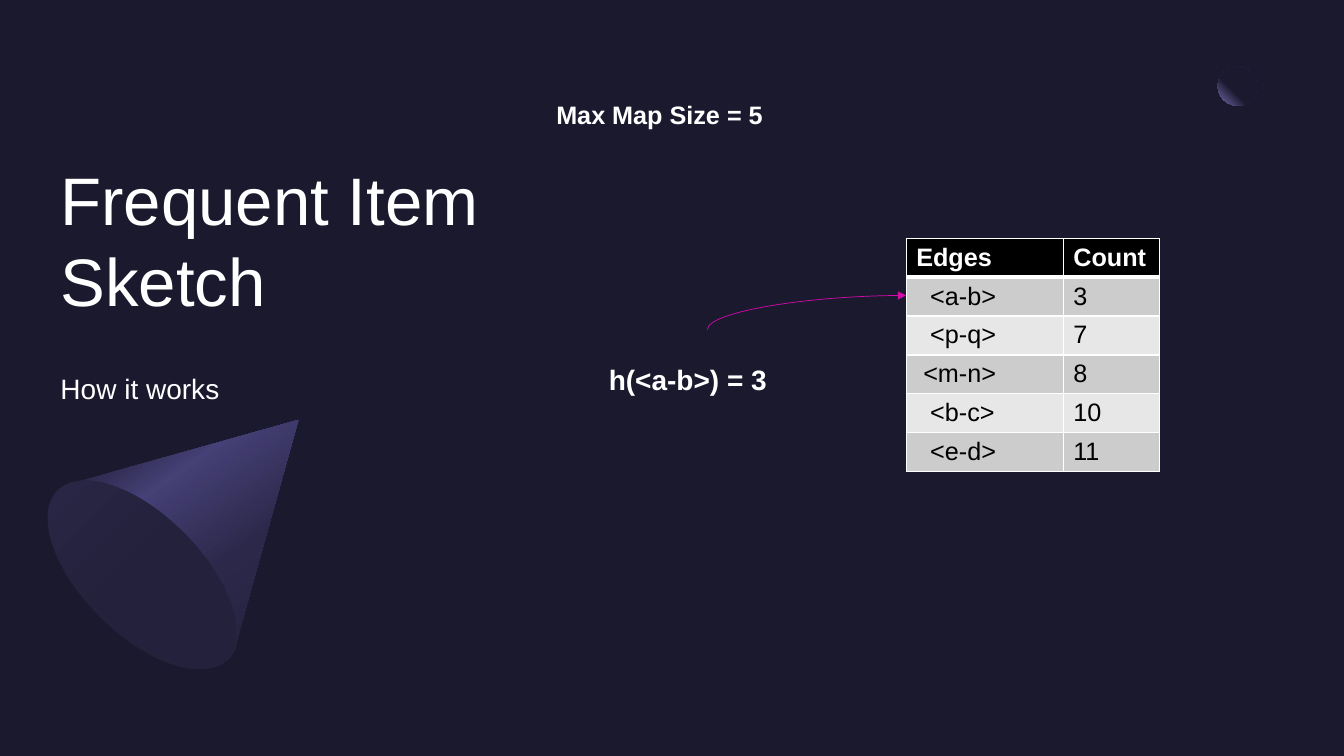
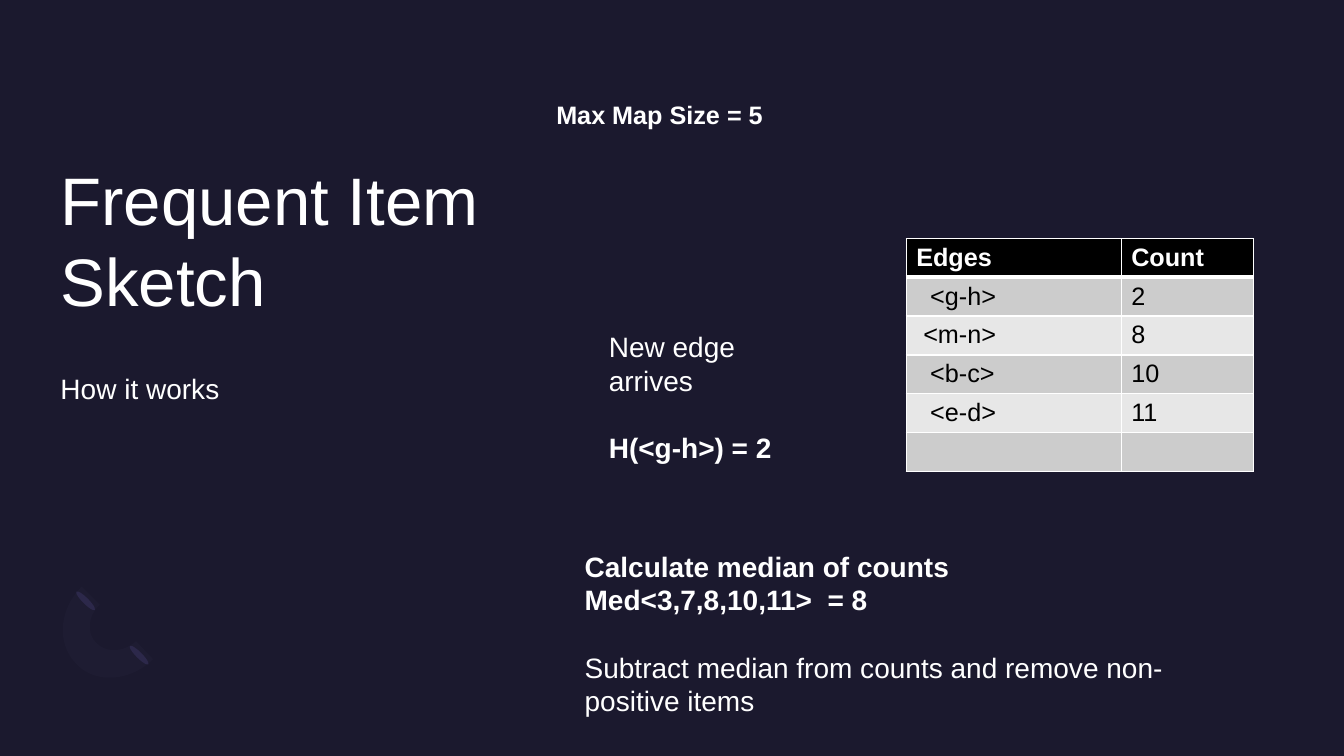
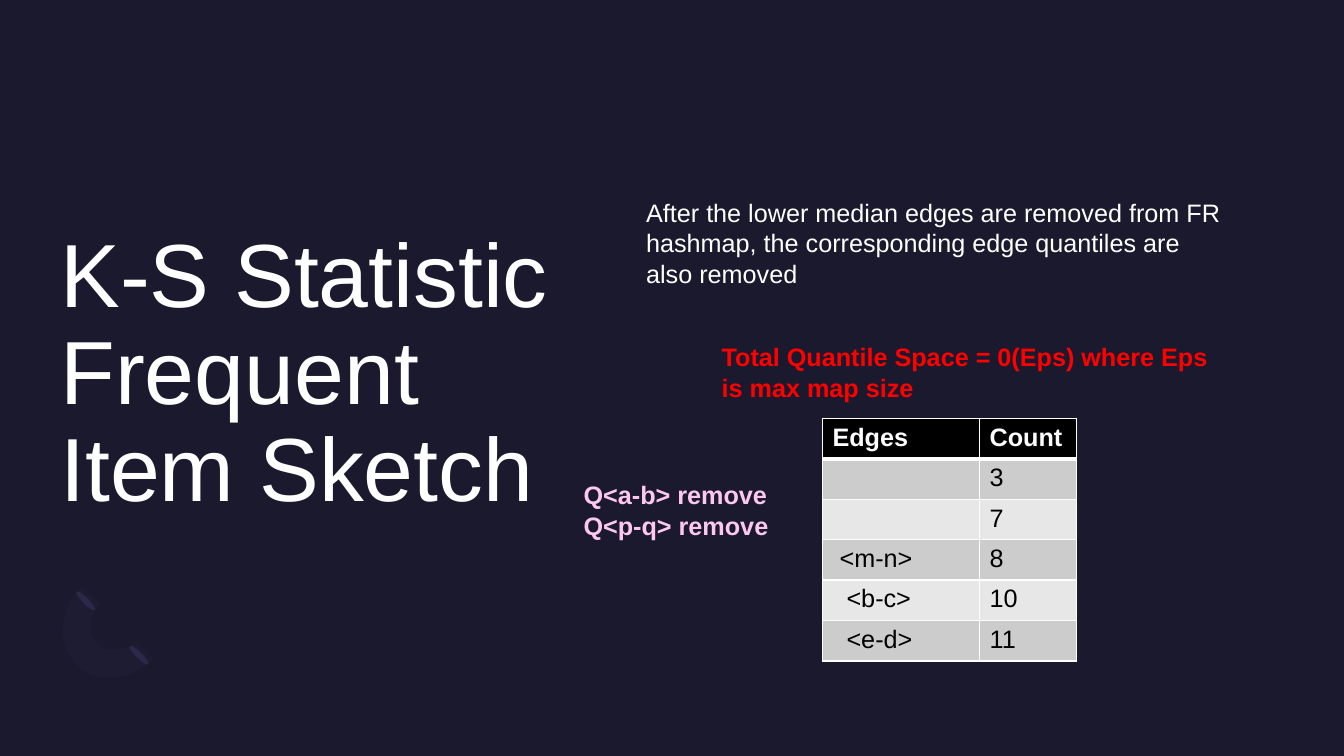
"""Three dark slides on how the frequent item sketch works."""
from math import sqrt

from lxml import etree
from pptx import Presentation
from pptx.dml.color import RGBColor
from pptx.enum import shapes, text
from pptx.oxml.ns import qn
from pptx.util import Pt

NIGHT = RGBColor(0x1B, 0x19, 0x2E)
SHADE = RGBColor(0x1E, 0x1C, 0x32)
DUSK = RGBColor(0x23, 0x21, 0x3C)
PLUM = RGBColor(0x2C, 0x28, 0x4A)
VIOLET = RGBColor(0x45, 0x40, 0x75)
LILAC = RGBColor(0x77, 0x71, 0xB2)
WHITE = RGBColor(0xFF, 0xFF, 0xFF)
BLACK = RGBColor(0x00, 0x00, 0x00)
SILVER = RGBColor(0xCC, 0xCC, 0xCC)
PALE = RGBColor(0xE7, 0xE7, 0xE7)
PINK = RGBColor(0xFC, 0xC8, 0xF1)
ROSE = RGBColor(0xD4, 0x0A, 0xA8)
RED = RGBColor(0xFF, 0x00, 0x00)
FONT = "Arial"

CONE = [213.1 + 300.2j, (167.8 + 462.2j,), (167.8 + 463.7j,),
        (166.3 + 466.6j, 164.9 + 468.7j, 162.7 + 470.9j),
        (146.2 + 487.4j, 105.8 + 473.8j, 72.7 + 440.6j),
        (39.6 + 407.5j, 25.9 + 367.2j, 42.5 + 350.6j),
        (44.6 + 348.5j, 46.8 + 347j, 49.7 + 345.6j), (51.1 + 345.6j,)]
ARC = [54.7 + 474.5j, (40.3 + 460.1j, 41.8 + 435.6j, 58.3 + 419j),
       (71.3 + 432j,), (62.6 + 439.9j, 61.9 + 453j, 69.1 + 459.4j),
       (76.3 + 466.6j, 88.6 + 465.8j, 97.2 + 457.9j), (109.4 + 470.9j,),
       (93.6 + 486.7j, 68.4 + 488.9j, 54.7 + 474.5j)]


def trace(slide, outline, mid=0, turn=1):
    """Draw an outline of lines and curves, each point turned about mid."""
    last, dots = outline[0], [outline[0]]
    for step in outline[1:]:
        if len(step) == 3:
            a, b, c = step
            for t in (n / 16 for n in range(1, 16)):
                s = 1 - t
                dots.append(s**3 * last + 3 * s * s * t * a
                            + 3 * s * t * t * b + t**3 * c)
        last = step[-1]
        dots.append(last)
    dots = [(d - mid) * turn + mid for d in dots]
    pairs = [(Pt(d.real), Pt(d.imag)) for d in dots]
    pen = slide.shapes.build_freeform(*pairs[0], scale=1.0)
    pen.add_line_segments(pairs[1:], close=True)
    return pen.convert_to_shape()


def write(frame, lines, size, color):
    """Fill a frame with (text, bold, space before) lines."""
    frame.word_wrap = True
    frame.auto_size = text.MSO_AUTO_SIZE.NONE
    frame.margin_left = frame.margin_right = Pt(0)
    frame.margin_top = frame.margin_bottom = Pt(0)
    for i, (words, bold, gap) in enumerate(lines):
        para = frame.add_paragraph() if i else frame.paragraphs[0]
        para.text = words
        para.alignment = text.PP_ALIGN.LEFT
        para.space_before = Pt(gap)
        para.font.name, para.font.size = FONT, Pt(size)
        para.font.bold, para.font.color.rgb = bold, color


SKETCH = ("Frequent Item Sketch", (43.2, 113, 428.4, 157), 48, 1)
STAT = ("K-S Statistic\vFrequent Item Sketch", (43.2, 119.5, 357.1, 297.4), 64, 0.9)
COMMON = [((43.2, 265.7, 428.4, 157), [("How it works", False, 0)], 20, WHITE),
          ((397.4, 71.3, 465.8, 22), [("Max Map Size = 5", True, 0)], 18, WHITE)]
TAIL = [("<m-n>", 8), ("<b-c>", 10), ("<e-d>", 11)]

PAGES = [
    (SKETCH,
     COMMON + [((434.9, 259.2, 141.8, 96), [("h(<a-b>) = 3", True, 0)], 20, WHITE)],
     (647.3, 170.6), (112.2, 69), (27, 27.8),
     [("<a-b>", 3), ("<p-q>", 7)] + TAIL),
    (SKETCH,
     COMMON + [((434.9, 235.4, 141.8, 120.2),
                [("New edge arrives", False, 0), ("H(<g-h>) = 2", True, 24)], 20, WHITE),
               ((417.6, 392.4, 428.4, 120.2),
                [("Calculate median of counts", True, 0),
                 ("Med<3,7,8,10,11>  = 8", True, 0),
                 ("Subtract median from counts and remove non-positive items",
                  False, 24)], 20, WHITE)],
     (647.3, 170.6), (153.6, 94.3), (27, 27.8),
     [("<g-h>", 2)] + TAIL + [("", "")]),
    (STAT,
     [((461.5, 141.1, 419, 66),
       [("After the lower median edges are removed from FR hashmap, "
         "the corresponding edge quantiles are also removed", False, 0)], 18, WHITE),
      ((515.5, 244.1, 355, 44),
       [("Total Quantile Space = 0(Eps) where Eps is max map size", True, 0)], 18, RED),
      ((416.9, 342.7, 162.7, 44),
       [("Q<a-b> remove", True, 0), ("Q<p-q> remove", True, 0)], 18, PINK)],
     (587.5, 298.8), (112.2, 69), (28.9, 28.9),
     [("", 3), ("", 7)] + TAIL),
]

deck = Presentation()
deck.slide_width, deck.slide_height = Pt(960), Pt(540)
ground = deck.slide_master.background.fill
ground.solid()
ground.fore_color.rgb = NIGHT

for page, (head, notes, spot, widths, highs, items) in enumerate(PAGES):
    slide = deck.slides.add_slide(deck.slide_layouts[5])

    if page:
        marks = [(trace(slide, ARC), SHADE)]
        for x, y in ((97.2, 458.6), (59, 419.8)):
            drop = slide.shapes.add_shape(
                shapes.MSO_SHAPE.OVAL, Pt(x), Pt(y), Pt(4.3), Pt(18.7))
            drop.rotation = 135
            marks.append((drop, PLUM))
        for mark, color in marks:
            mark.shadow.inherit = False
            mark.fill.solid()
            mark.fill.fore_color.rgb = color
            mark.line.fill.background()
    else:
        dot = slide.shapes.add_shape(
            shapes.MSO_SHAPE.OVAL, Pt(869.8), Pt(47.5), Pt(28), Pt(28))
        cone = trace(slide, CONE, 142.6 + 370.1j, (1 - 1j) / sqrt(2))
        cone.rotation = 45
        base = slide.shapes.add_shape(
            shapes.MSO_SHAPE.OVAL, Pt(59), Pt(325.4), Pt(85), Pt(170.6))
        base.rotation = 135
        for solid, stops, angle in (
                (dot, [(60, NIGHT), (100, LILAC)], None),
                (cone, [(30, PLUM), (40, VIOLET), (60, PLUM), (100, NIGHT)], 10),
                (base, [(50, DUSK), (100, PLUM)], 90)):
            solid.shadow.inherit = False
            solid.line.fill.background()
            solid.fill.gradient()
            solid.fill.gradient_angle = -(angle or 0) % 360
            grad = solid.element.spPr.find(qn("a:gradFill"))
            ramp = grad.find(qn("a:gsLst"))
            for old in list(ramp):
                ramp.remove(old)
            for place, color in stops:
                stop = etree.SubElement(ramp, qn("a:gs"), pos=str(place * 1000))
                etree.SubElement(stop, qn("a:srgbClr"), val=str(color))
            if angle is None:
                grad.remove(grad.find(qn("a:lin")))
                ring = etree.Element(qn("a:path"), {"path": "circle"})
                etree.SubElement(ring, qn("a:fillToRect"), l="100000", b="100000")
                ramp.addnext(ring)

        arrow = slide.shapes.add_connector(
            shapes.MSO_CONNECTOR.CURVE, Pt(647.3), Pt(211), Pt(505.4), Pt(235.4))
        arrow.line.color.rgb, arrow.line.width = ROSE, Pt(0.5)
        props = arrow.element.spPr
        props.find(qn("a:prstGeom")).set("prst", "curvedConnector2")
        etree.SubElement(props.find(qn("a:ln")), qn("a:headEnd"), type="triangle")
        etree.SubElement(props, qn("a:effectLst"))

    words, box, size, pitch = head
    title = slide.shapes.title
    title.left, title.top, title.width, title.height = map(Pt, box)
    write(title.text_frame, [(words, False, 0)], size, WHITE)
    title.text_frame.paragraphs[0].line_spacing = pitch
    title.text_frame.vertical_anchor = (
        text.MSO_ANCHOR.MIDDLE if head is STAT else text.MSO_ANCHOR.TOP)

    for box, lines, size, color in notes:
        note = slide.shapes.add_textbox(*map(Pt, box))
        write(note.text_frame, lines, size, color)

    rows = [("Edges", "Count")] + items
    tall = [highs[0]] + [highs[1]] * len(items)
    table = slide.shapes.add_table(
        len(rows), 2, *map(Pt, spot), Pt(sum(widths)), Pt(sum(tall))).table
    table.horz_banding = False
    for col, width in zip(table.columns, widths):
        col.width = Pt(width)
    for r, row in enumerate(rows):
        table.rows[r].height = Pt(tall[r])
        for c, value in enumerate(row):
            cell = table.cell(r, c)
            edges = {"L": 1, "R": 1, "T": 3 if r == 1 else 1, "B": 1 if r else 3}
            for side, weight in edges.items():
                rule = etree.SubElement(cell._tc.get_or_add_tcPr(),
                                        qn("a:ln" + side), w=str(Pt(weight)))
                paint = etree.SubElement(rule, qn("a:solidFill"))
                etree.SubElement(paint, qn("a:srgbClr"), val=str(WHITE))
            cell.fill.solid()
            cell.fill.fore_color.rgb = (SILVER if r % 2 else PALE) if r else BLACK
            if r and c == 0:
                cell.margin_left = Pt(12.2 if value == "<m-n>" else 17.2)
            para = cell.text_frame.paragraphs[0]
            para.text = str(value)
            para.font.name, para.font.size = FONT, Pt(18)
            para.font.bold = r == 0
            para.font.color.rgb = BLACK if r else WHITE

deck.save("out.pptx")
